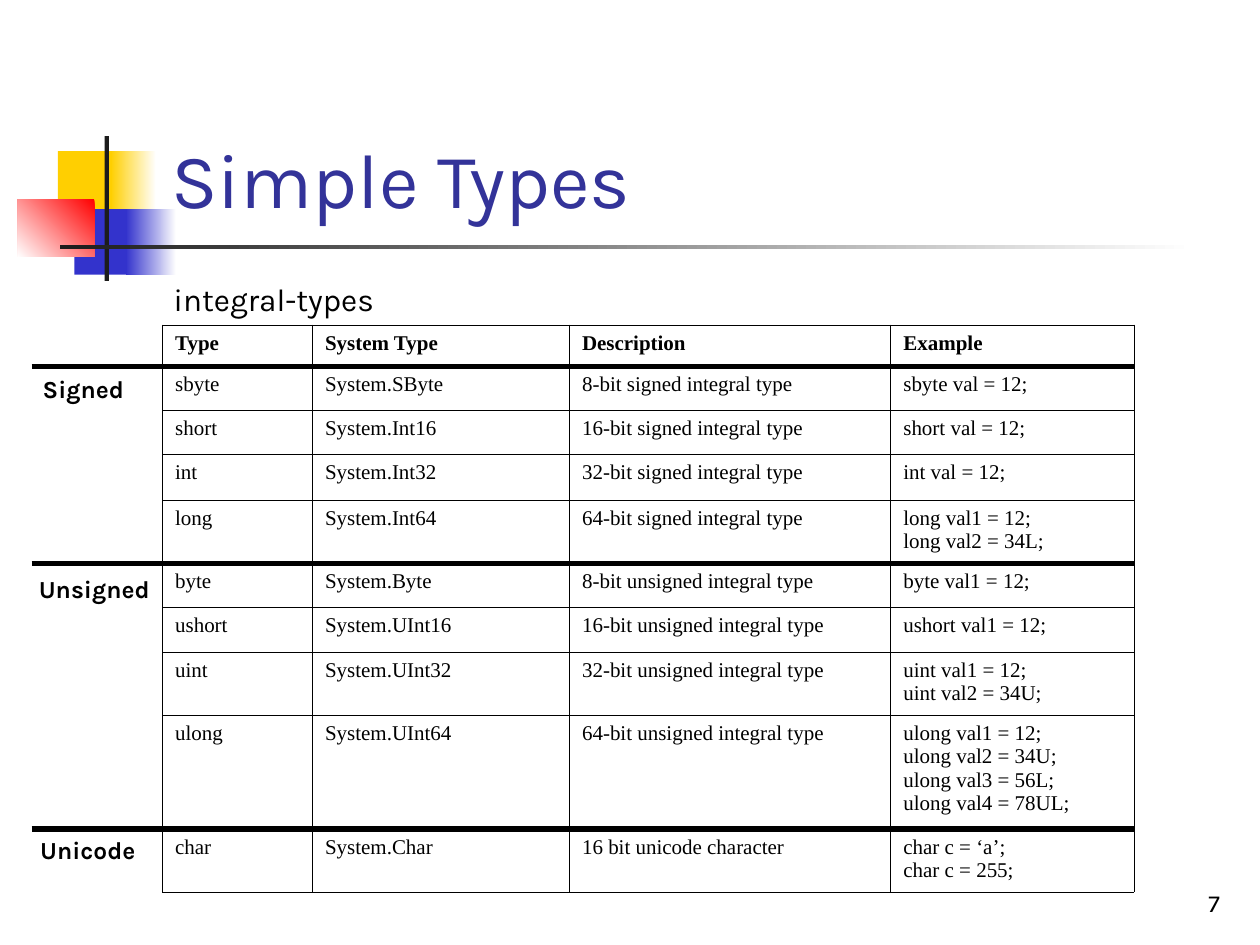
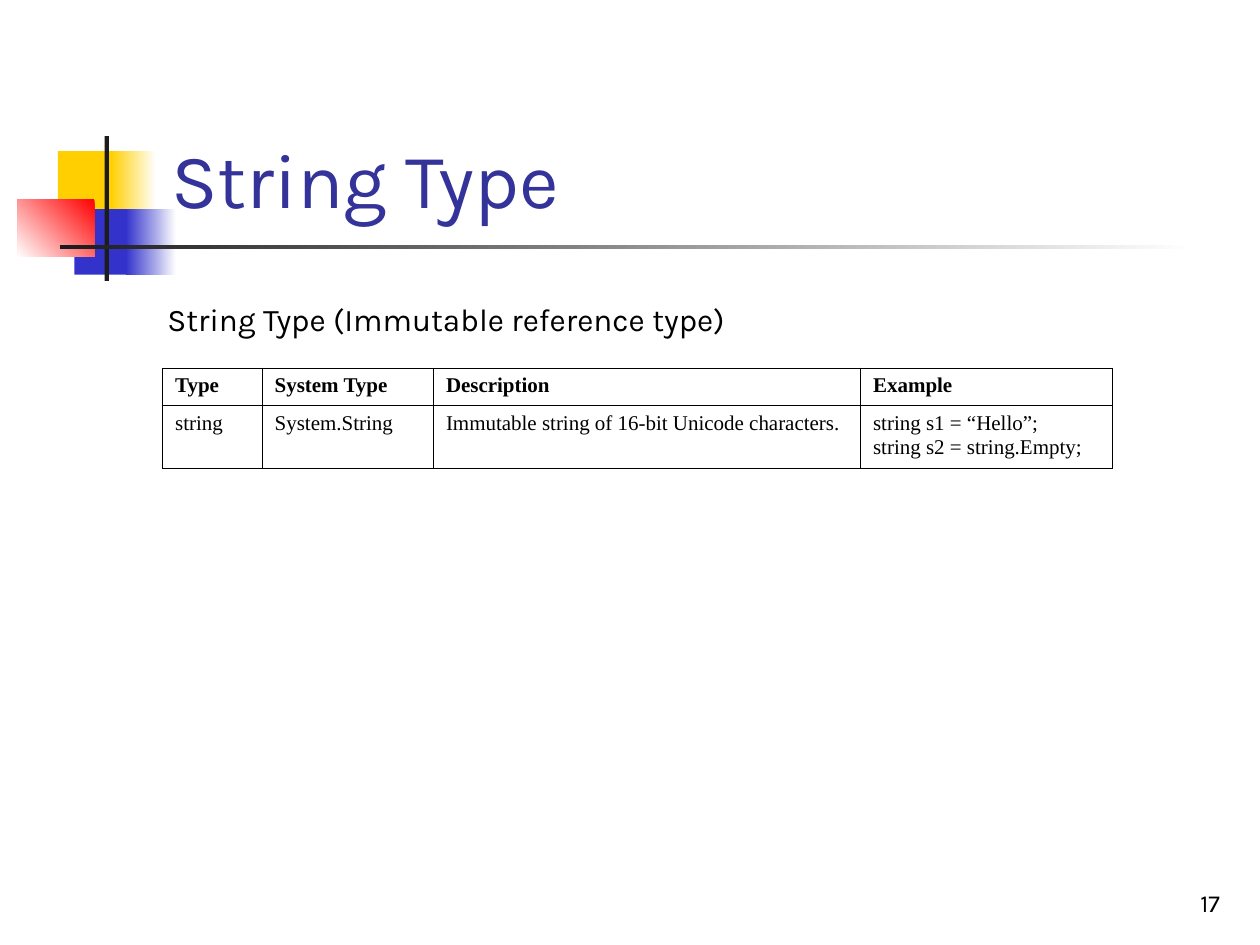
from itertools import accumulate
from typing import NamedTuple

from pptx import Presentation
from pptx.dml.color import RGBColor
from pptx.enum.shapes import MSO_CONNECTOR, MSO_SHAPE
from pptx.enum.text import MSO_ANCHOR, MSO_AUTO_SIZE, PP_ALIGN
from pptx.oxml import parse_xml
from pptx.oxml.ns import nsdecls
from pptx.slide import Slide
from pptx.util import Emu, Inches, Pt

COLORS = {
    "white": "FFFFFF",
    "black": "000000",
    "title": "333399",
    "yellow": "FFCF01",
    "blue": "3333CC",
    "red": "FF0000",
    "ink": "1C1C1C",
}
BODY_FONT = "Karla"
TABLE_FONT = "Times New Roman"
SLIDE_WIDTH, SLIDE_HEIGHT = Inches(10), Inches(7.5)
COLUMN, ROW = SLIDE_WIDTH / 100, SLIDE_HEIGHT / 75
BORDER = Pt(0.45)
TITLE_ONLY = 5
HEADINGS = ("Type", "System Type", "Description", "Example")


class Area(NamedTuple):
    column: float
    row: float
    columns: float
    rows: float

    def emu(self) -> tuple[Emu, Emu, Emu, Emu]:
        return (Emu(round(self.column * COLUMN)), Emu(round(self.row * ROW)),
                Emu(round(self.columns * COLUMN)), Emu(round(self.rows * ROW)))


class Band(NamedTuple):
    area: Area
    start: str
    end: str | None = None
    angle: int = 180


class Label(NamedTuple):
    text: str
    area: Area
    size: int = 14
    bold: bool = False


class TypeTable(NamedTuple):
    column: float
    row: float
    widths: tuple[float, ...]
    heights: tuple[float, ...]
    entries: tuple[tuple[str, ...], ...]


class Topic(NamedTuple):
    title: str
    number: int
    types: TypeTable
    labels: tuple[Label, ...]
    divided_after: tuple[int, ...] = ()


TITLE_AREA = Area(12.6, 2.3, 85.2, 16)
NUMBER_AREA = Area(77, 68.3, 20.8, 5)
DIVIDER_START = 2.5
BANDS = (
    Band(Area(4.6, 12, 4.8, 5.2), "yellow"),
    Band(Area(8.8, 12, 3.6, 5.2), "white", "yellow"),
    Band(Area(5.9, 16.6, 4.6, 5.2), "blue"),
    Band(Area(10, 16.6, 4, 5.2), "white", "blue"),
    Band(Area(1.4, 15.8, 6.1, 4.6), "red", "white", 135),
    Band(Area(8.3, 10.8, 0.35, 11.5), "ink"),
    Band(Area(4.8, 19.45, 90, 0.35), "white", "ink"),
)

TOPICS = (
    Topic(
        "Simple Types", 7,
        TypeTable(
            12.9, 25.8, (11.9, 20.4, 25.5, 19.3),
            (3.3, 3.5, 3.5, 3.6, 5, 3.5, 3.6, 5, 9, 5),
            (
                ("sbyte", "System.SByte", "8-bit signed integral type", "sbyte val = 12;"),
                ("short", "System.Int16", "16-bit signed integral type", "short val = 12;"),
                ("int", "System.Int32", "32-bit signed integral type", "int val = 12;"),
                ("long", "System.Int64", "64-bit signed integral type",
                 "long val1 = 12;\nlong val2 = 34L;"),
                ("byte", "System.Byte", "8-bit unsigned integral type", "byte val1 = 12;"),
                ("ushort", "System.UInt16", "16-bit unsigned integral type",
                 "ushort val1 = 12;"),
                ("uint", "System.UInt32", "32-bit unsigned integral type",
                 "uint val1 = 12;\nuint val2 = 34U;"),
                ("ulong", "System.UInt64", "64-bit unsigned integral type",
                 "ulong val1 = 12;\nulong val2 = 34U;\nulong val3 = 56L;\nulong val4 = 78UL;"),
                ("char", "System.Char", "16 bit unicode character",
                 "char c = ‘a’;\nchar c = 255;"),
            ),
        ),
        (
            Label("Signed", Area(2.4, 29.2, 8.5, 3.4), bold=True),
            Label("Unsigned", Area(2.1, 45.1, 11.2, 3.4), bold=True),
            Label("Unicode", Area(2.2, 65.8, 9.9, 3.4), bold=True),
            Label("integral-types", Area(12.8, 21.7, 18.2, 4), 18),
        ),
        divided_after=(0, 4, 8),
    ),
    Topic(
        "String Type", 17,
        TypeTable(
            12.9, 29.2, (7.9, 13.6, 33.9, 20), (3, 5),
            (("string", "System.String", "Immutable string of 16-bit Unicode characters.",
              "string s1 = “Hello”;\nstring s2 = string.Empty;"),),
        ),
        (Label("String Type (Immutable reference type)", Area(12.3, 23.3, 48.1, 4), 18),),
    ),
)


def rgb(name: str) -> RGBColor:
    return RGBColor.from_string(COLORS[name])


def style_text(frame, font: str, size: int, color: str = "black", bold: bool = False,
               align: PP_ALIGN = PP_ALIGN.LEFT) -> None:
    for paragraph in frame.paragraphs:
        paragraph.alignment = align
        paragraph.font.name = font
        paragraph.font.size = Pt(size)
        paragraph.font.bold = bold
        paragraph.font.color.rgb = rgb(color)


def draw_band(slide: Slide, band: Band) -> None:
    block = slide.shapes.add_shape(MSO_SHAPE.RECTANGLE, *band.area.emu())
    block.shadow.inherit = False
    block.line.fill.background()
    if band.end is None:
        block.fill.solid()
        block.fill.fore_color.rgb = rgb(band.start)
        return
    block.fill.gradient()
    block.fill.gradient_angle = 360 - band.angle
    for stop, color, position in zip(block.fill.gradient_stops, (band.start, band.end), (0, 1)):
        stop.color.rgb = rgb(color)
        stop.position = position


def set_title(slide: Slide, text: str) -> None:
    title = slide.shapes.title
    title.left, title.top, title.width, title.height = TITLE_AREA.emu()
    frame = title.text_frame
    frame.text = text
    frame.auto_size = MSO_AUTO_SIZE.NONE
    frame.vertical_anchor = MSO_ANCHOR.BOTTOM
    style_text(frame, BODY_FONT, 44, "title")


def draw_label(slide: Slide, label: Label) -> None:
    frame = slide.shapes.add_textbox(*label.area.emu()).text_frame
    frame.text = label.text
    frame.word_wrap = False
    frame.auto_size = MSO_AUTO_SIZE.SHAPE_TO_FIT_TEXT
    style_text(frame, BODY_FONT, label.size, bold=label.bold)


def draw_number(slide: Slide, number: int) -> None:
    frame = slide.shapes.add_textbox(*NUMBER_AREA.emu()).text_frame
    frame.text = str(number)
    frame.word_wrap = True
    frame.vertical_anchor = MSO_ANCHOR.BOTTOM
    style_text(frame, BODY_FONT, 14, align=PP_ALIGN.RIGHT)


def format_cell(cell, text: str, heading: bool) -> None:
    properties = cell._tc.get_or_add_tcPr()
    for side in "LRTB":
        properties.append(parse_xml(
            f'<a:ln{side} {nsdecls("a")} w="{BORDER}"><a:solidFill>'
            f'<a:srgbClr val="{COLORS["black"]}"/></a:solidFill></a:ln{side}>'))
    cell.fill.background()
    cell.text = text
    style_text(cell.text_frame, TABLE_FONT, 12, bold=heading)


def draw_types(slide: Slide, types: TypeTable) -> None:
    lines = (HEADINGS, *types.entries)
    area = Area(types.column, types.row, sum(types.widths), sum(types.heights))
    grid = slide.shapes.add_table(len(lines), len(HEADINGS), *area.emu()).table
    grid.first_row = grid.horz_banding = False
    for column, width in zip(grid.columns, types.widths):
        column.width = Emu(round(width * COLUMN))
    for row, height in zip(grid.rows, types.heights):
        row.height = Emu(round(height * ROW))
    for row_index, line in enumerate(lines):
        for column_index, text in enumerate(line):
            format_cell(grid.cell(row_index, column_index), text, row_index == 0)


def draw_dividers(slide: Slide, topic: Topic) -> None:
    types = topic.types
    bottoms = list(accumulate(types.heights, initial=types.row))[1:]
    right = types.column + sum(types.widths)
    for index in topic.divided_after:
        left, top, width, _ = Area(DIVIDER_START, bottoms[index], right - DIVIDER_START, 0).emu()
        divider = slide.shapes.add_connector(
            MSO_CONNECTOR.STRAIGHT, left, top, left + width, top)
        divider.line.width = Pt(3)
        divider.line.color.rgb = rgb("black")
        divider._element.spPr.append(parse_xml(f'<a:effectLst {nsdecls("a")}/>'))


def build_topic(deck, topic: Topic) -> None:
    slide = deck.slides.add_slide(deck.slide_layouts[TITLE_ONLY])
    slide.background.fill.solid()
    slide.background.fill.fore_color.rgb = rgb("white")
    for band in BANDS:
        draw_band(slide, band)
    set_title(slide, topic.title)
    draw_types(slide, topic.types)
    for label in topic.labels:
        draw_label(slide, label)
    draw_dividers(slide, topic)
    draw_number(slide, topic.number)


def main() -> None:
    deck = Presentation()
    deck.slide_width, deck.slide_height = SLIDE_WIDTH, SLIDE_HEIGHT
    for topic in TOPICS:
        build_topic(deck, topic)
    deck.save("out.pptx")


if __name__ == "__main__":
    main()
